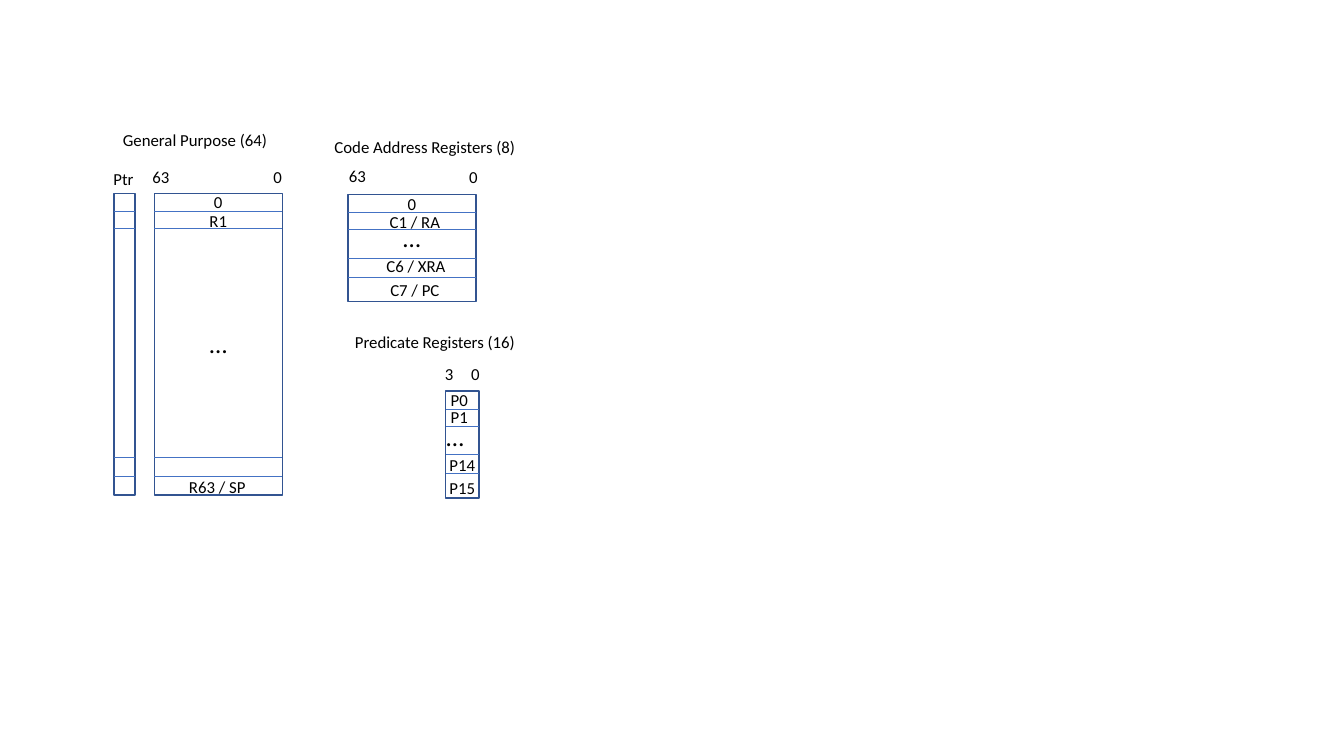
import pptx
import pptx.util
import pptx.dml.color
import pptx.enum.shapes
import pptx.enum.text
import pptx.oxml

INK = {"edge": "325491", "rule": "4472C4", "text": "000000"}
FONT = "Calibri"

# Row borders, in inches below the top of a bank
TALL = (0.18, 0.35, 2.62, 2.81, 2.99)
SHORT = (0.18, 0.35, 0.63, 0.82, 1.06)

# Banks: left, top, width, row borders, labels
# Labels: text, shift from the bank's centre, shift from its top
BANKS = [
    (1.53, 1.92, 1.27, TALL, [
        ("General Purpose (64)", -0.23, -0.68),
        ("63", -0.57, -0.31), ("0", 0.59, -0.31),
        ("0", 0, -0.07), ("R1", 0, 0.12),
        ("…", 0, 1.29), ("R63 / SP", -0.01, 2.76)]),
    (1.13, 1.92, 0.21, TALL, [("Ptr", -0.01, -0.3)]),
    (3.45, 1.93, 1.27, SHORT, [
        ("Code Address Registers (8)", 0.13, -0.62),
        ("63", -0.54, -0.33), ("0", 0.61, -0.32),
        ("0", 0, -0.06), ("C1 / RA", 0.03, 0.12), ("…", 0, 0.23),
        ("C6 / XRA", 0.04, 0.56), ("C7 / PC", 0.03, 0.8)]),
    (4.42, 3.88, 0.33, SHORT, [
        ("Predicate Registers (16)", -0.27, -0.64),
        ("3", -0.13, -0.32), ("0", 0.13, -0.32),
        ("P0", -0.03, -0.06), ("P1", -0.03, 0.11), ("…", -0.07, 0.25),
        ("P14", 0, 0.58), ("P15", 0, 0.81)]),
]

inch = pptx.util.Inches
deck = pptx.Presentation()
deck.slide_width, deck.slide_height = inch(13.33), inch(7.5)
slide = deck.slides.add_slide(deck.slide_layouts[6])
shapes = slide.shapes


def tint(name):
    return pptx.dml.color.RGBColor.from_string(INK[name])


def frame(left, top, wide, high):
    box = shapes.add_shape(pptx.enum.shapes.MSO_SHAPE.RECTANGLE,
                           inch(left), inch(top), inch(wide), inch(high))
    box.shadow.inherit = False
    box.fill.background()
    box.line.color.rgb = tint("edge")
    box.line.width = pptx.util.Pt(1)


def rule(left, right, y):
    line = shapes.add_connector(pptx.enum.shapes.MSO_CONNECTOR.STRAIGHT,
                                inch(left), inch(y), inch(right), inch(y))
    line.line.color.rgb = tint("rule")
    line.line.width = pptx.util.Pt(0.5)
    props = line._element.spPr
    props.append(pptx.oxml.parse_xml(
        '<a:effectLst xmlns:a="http://schemas.openxmlformats.org/drawingml/2006/main"/>'))


def label(text, mid, top):
    dots = text == "…"
    wide = 0.4 if dots else 0.25 + 0.08 * len(text)
    high = 0.4 if dots else 0.3
    box = shapes.add_textbox(inch(mid - wide / 2), inch(top), inch(wide), inch(high))
    body = box.text_frame
    body.text = text
    body.word_wrap = False
    body.auto_size = pptx.enum.text.MSO_AUTO_SIZE.SHAPE_TO_FIT_TEXT
    para = body.paragraphs[0]
    para.alignment = pptx.enum.text.PP_ALIGN.CENTER
    font = para.runs[0].font
    font.name = FONT
    font.size = pptx.util.Pt(18 if dots else 12)
    font.color.rgb = tint("text")


# Each bank: outline, row rules, labels
for left, top, wide, rows, labels in BANKS:
    frame(left, top, wide, rows[-1])
    for row in rows[:-1]:
        rule(left, left + wide, top + row)
    for text, dx, dy in labels:
        label(text, left + wide / 2 + dx, top + dy)

deck.save("out.pptx")
